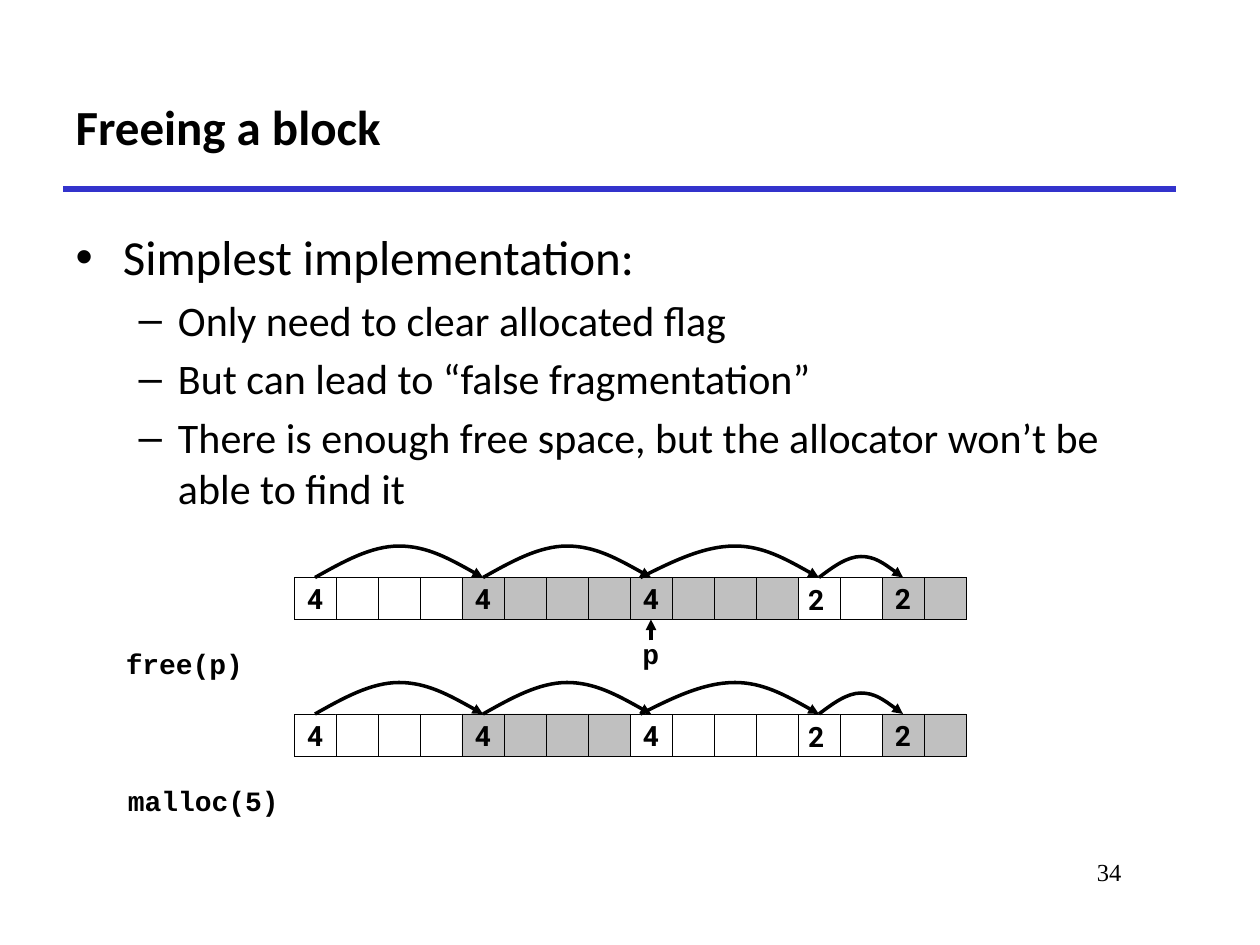
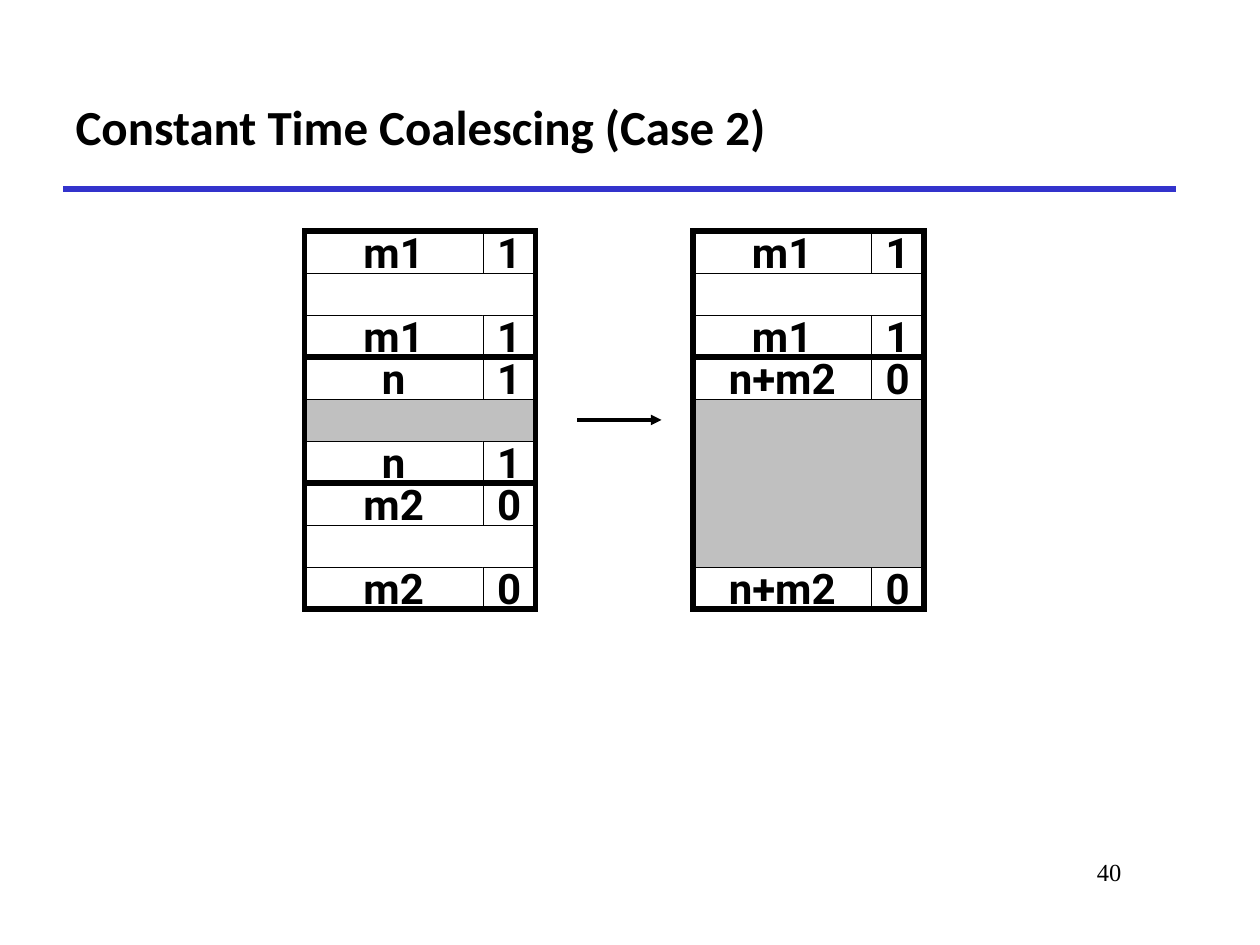
import pptx
import pptx.dml.color
import pptx.enum.shapes
import pptx.enum.text
import pptx.oxml.ns
import pptx.util
from lxml import etree

Pt = pptx.util.Pt
qn = pptx.oxml.ns.qn
ALIGN = pptx.enum.text.PP_ALIGN

COLORS = {
    "text": "000000",
    "rule": "3333CC",
    "free": "FFFFFF",
    "used": "C0C0C0",
}
WORD = 4  # side of a memory word in grid units
TAG_WIDTH, FLAG_WIDTH = 17, 5


def grid(units):
    """Length of a number of grid units; twelve units make 2.54 cm."""
    return pptx.util.Cm(units * 2.54 / 12)


def color(name):
    return pptx.dml.color.RGBColor.from_string(COLORS[name])


class Deck:
    """Holds the shared style and the slide being built."""

    def __init__(self):
        self.prs = pptx.Presentation()
        self.prs.slide_width = grid(120)
        self.prs.slide_height = grid(90)
        self.slide = None

    def new_slide(self, title, number, layout):
        self.slide = self.prs.slides.add_slide(self.prs.slide_layouts[layout])
        heading = self.slide.shapes.title
        self.place(heading, 6, 6, 106, 12)
        heading.text_frame.text = title
        paragraph = heading.text_frame.paragraphs[0]
        paragraph.alignment = ALIGN.LEFT
        self.style(paragraph, "Calibri", 28, bold=True)
        self.line((6, 18), (112, 18), "rule", 3)
        self.label(number, 91, 81, 17, "Times New Roman", 14, bold=False,
                   align=ALIGN.RIGHT)

    @staticmethod
    def place(shape, left, top, width, height):
        shape.left, shape.top = grid(left), grid(top)
        shape.width, shape.height = grid(width), grid(height)

    @staticmethod
    def style(paragraph, font, size, bold=False):
        paragraph.font.name = font
        paragraph.font.size = Pt(size)
        paragraph.font.bold = bold
        paragraph.font.color.rgb = color("text")

    def body(self, items):
        """Fill the body placeholder with (level, text) items."""
        holder = self.slide.placeholders[1]
        self.place(holder, 6, 21, 106, 30)
        frame = holder.text_frame
        for index, (level, text) in enumerate(items):
            paragraph = frame.add_paragraph() if index else frame.paragraphs[0]
            paragraph.text = text
            paragraph.level = level
            self.style(paragraph, "Calibri", 24 if level else 28)
        frame.paragraphs[0].space_before = Pt(0)

    def label(self, text, left, top, width, font="Courier New", size=16,
              bold=True, align=ALIGN.LEFT):
        box = self.slide.shapes.add_textbox(
            grid(left), grid(top), grid(width), grid(4.4))
        frame = box.text_frame
        frame.word_wrap = False
        frame.auto_size = pptx.enum.text.MSO_AUTO_SIZE.SHAPE_TO_FIT_TEXT
        frame.text = text
        frame.paragraphs[0].alignment = align
        self.style(frame.paragraphs[0], font, size, bold)

    def rect(self, left, top, width, height, fill=None, text="", size=16, weight=0.25):
        shape = self.slide.shapes.add_shape(
            pptx.enum.shapes.MSO_SHAPE.RECTANGLE,
            grid(left), grid(top), grid(width), grid(height))
        shape.shadow.inherit = False
        if fill:
            shape.fill.solid()
            shape.fill.fore_color.rgb = color(fill)
        else:
            shape.fill.background()
        self.stroke(shape, "text", weight)
        if text:
            shape.text_frame.word_wrap = False
            shape.text_frame.text = text
            paragraph = shape.text_frame.paragraphs[0]
            paragraph.alignment = ALIGN.CENTER
            self.style(paragraph, "Roboto", size, bold=True)

    @staticmethod
    def stroke(shape, name, weight, arrow=False):
        shape.line.color.rgb = color(name)
        shape.line.width = Pt(weight)
        ln = shape._element.spPr.find(qn("a:ln"))
        etree.SubElement(ln, qn("a:miter"), lim="800000")
        if arrow:
            etree.SubElement(ln, qn("a:tailEnd"), type="triangle")

    def line(self, start, end, name="text", weight=2, arrow=False):
        connector = self.slide.shapes.add_connector(
            pptx.enum.shapes.MSO_CONNECTOR.STRAIGHT,
            *map(grid, start), *map(grid, end))
        self.stroke(connector, name, weight, arrow)
        etree.SubElement(connector._element.spPr, qn("a:effectLst"))

    def hop(self, start, peak, end, base, rise):
        """Draw a curved arrow over the words from start to end."""
        top = base - rise
        half = base - rise / 2
        rising, falling = (peak - start) / 3, (end - peak) / 3
        points = [
            (start + rising, half), (start + 2 * rising, top), (peak, top),
            (peak + falling, top), (peak + 2 * falling, half), (end, base),
        ]
        builder = self.slide.shapes.build_freeform(grid(start), grid(base))
        builder.add_line_segments(
            [(grid(x), grid(y)) for x, y in points], close=False)
        arc = builder.convert_to_shape()
        outline = arc._element.find(".//" + qn("a:path"))
        segments = outline.findall(qn("a:lnTo"))
        for half_arc in (segments[:3], segments[3:]):
            curve = etree.SubElement(outline, qn("a:cubicBezTo"))
            for segment in half_arc:
                curve.append(segment[0])
                outline.remove(segment)
        arc.shadow.inherit = False
        arc.fill.background()
        self.stroke(arc, "text", 2, arrow=True)

    def heap(self, top, blocks):
        """Draw a row of blocks given as (word count, state)."""
        left = 28
        for words, state in blocks:
            lone_label = words == 2 and state == "free"
            for word in range(words):
                size_tag = str(words) if word == 0 and not lone_label else ""
                self.rect(left + word * WORD, top, WORD, WORD, state, size_tag)
            if lone_label:
                self.label(str(words), left - 0.2, top - 0.1, 3.8, "Roboto")
            left += words * WORD
        for start, peak, end, rise in [
            (30, 38, 46, 3), (46, 54, 62, 3), (61, 70, 78, 3), (78, 82, 86, 2),
        ]:
            self.hop(start, peak, end, top, rise)

    def tagged_block(self, left, top, size_tag, flag, state="free", payload=1):
        """Draw a block with boundary tags and return its bottom edge."""
        width = TAG_WIDTH + FLAG_WIDTH
        footer = top + (1 + payload) * WORD
        self.rect(left, top + WORD, width, payload * WORD, state)
        for row in (top, footer):
            self.rect(left, row, TAG_WIDTH, WORD, "free", size_tag, 24)
            self.rect(left + TAG_WIDTH, row, FLAG_WIDTH, WORD, "free", flag, 24)
        self.rect(left, top, width, footer + WORD - top, weight=3)
        return footer + WORD


def freeing_slide(deck):
    deck.new_slide("Freeing a block", "34", layout=1)
    deck.body([
        (0, "Simplest implementation:"),
        (1, "Only need to clear allocated flag"),
        (1, "But can lead to “false fragmentation”"),
        (1, "There is enough free space, but the allocator won’t be able to find it"),
    ])
    for top, freed_state in ((55, "used"), (68, "free")):
        deck.heap(top, [(4, "free"), (4, "used"), (4, freed_state),
                        (2, "free"), (2, "used")])
    deck.line((62, 61), (62, 59), arrow=True)
    deck.label("p", 60, 60, 4)
    deck.label("free(p)", 10.8, 61, 13.7)
    deck.label("malloc(5)", 11, 74, 16.8)


def coalescing_slide(deck):
    deck.new_slide("Constant Time Coalescing (Case 2)", "40", layout=5)
    before = [("m1", "1"), ("n", "1", "used"), ("m2", "0")]
    after = [("m1", "1"), ("n+m2", "0", "used", 4)]
    for left, blocks in ((29, before), (66, after)):
        top = 22
        for block in blocks:
            top = deck.tagged_block(left, top, *block)
    deck.line((55, 40), (63, 40), arrow=True)


def main():
    deck = Deck()
    freeing_slide(deck)
    coalescing_slide(deck)
    deck.prs.save("out.pptx")


if __name__ == "__main__":
    main()
